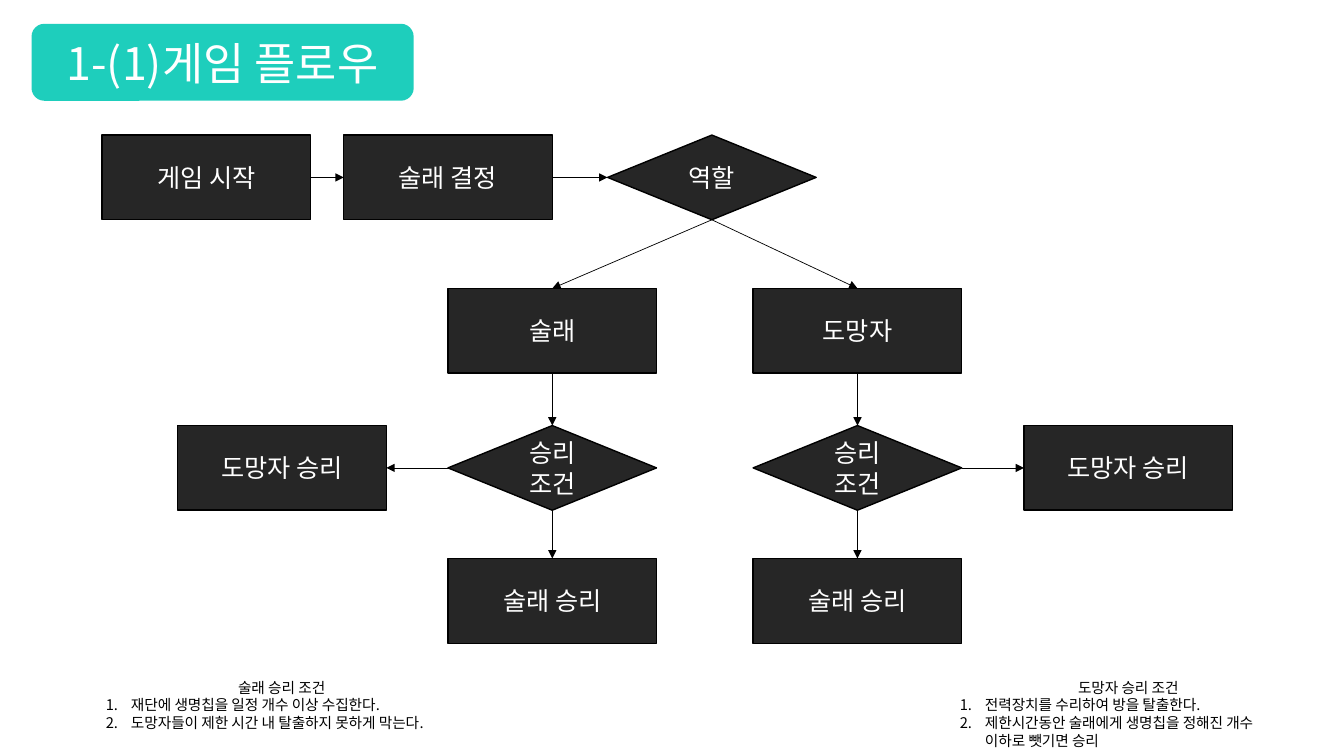
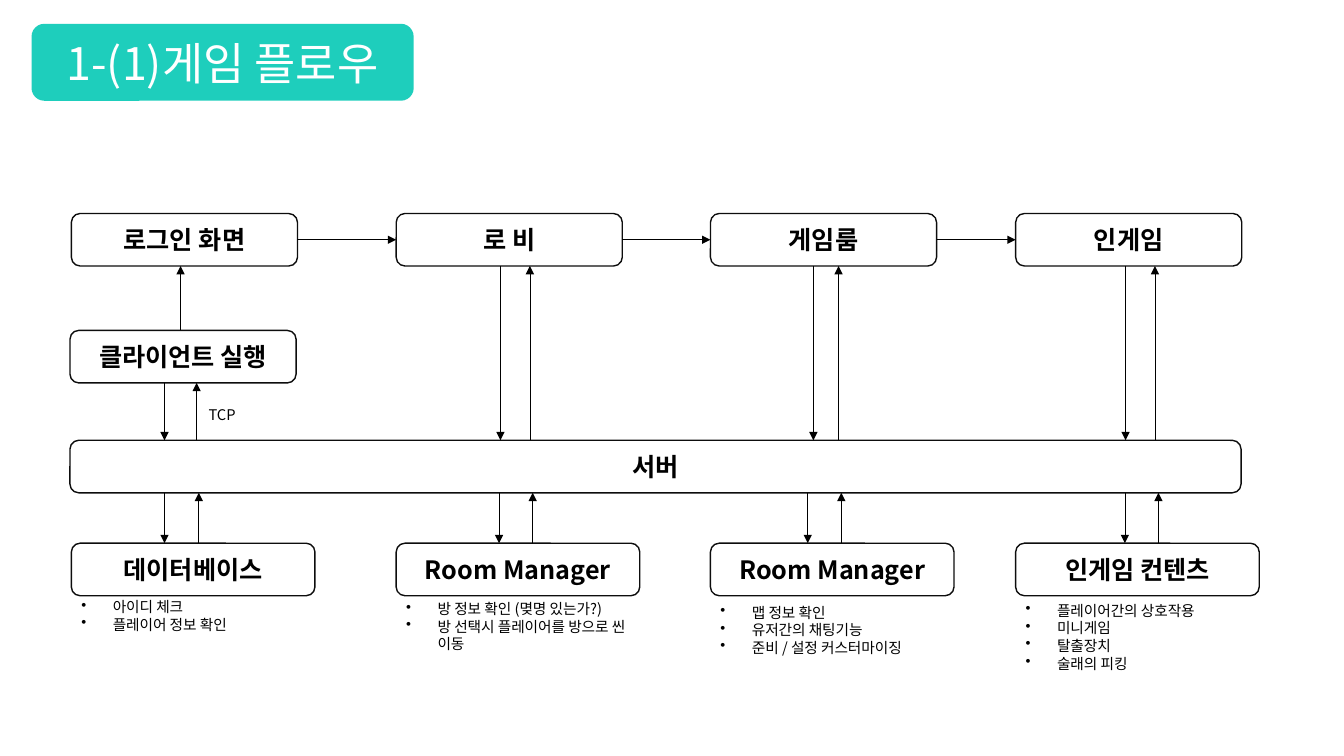
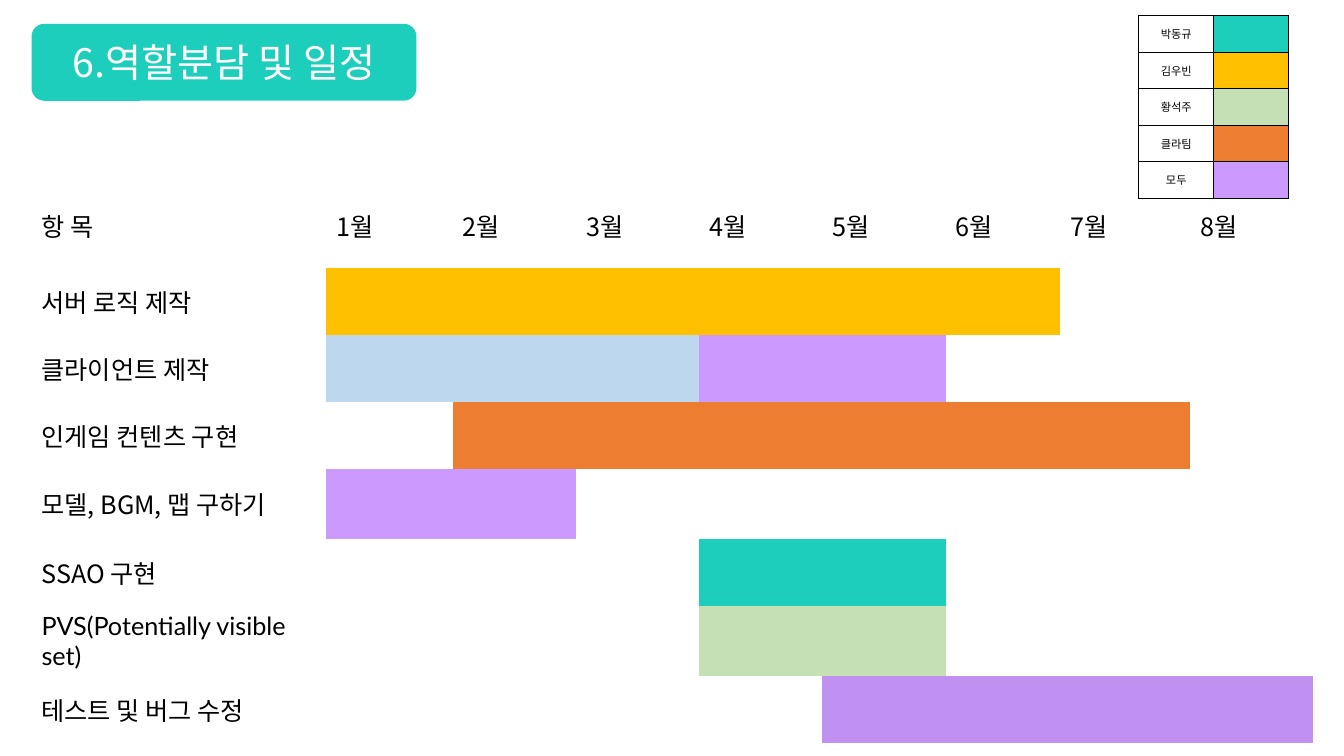
from dataclasses import dataclass

from lxml.etree import SubElement
from pptx import Presentation
from pptx.dml.color import RGBColor
from pptx.enum.shapes import MSO_CONNECTOR, MSO_SHAPE
from pptx.enum.text import MSO_ANCHOR, MSO_AUTO_SIZE, PP_ALIGN
from pptx.oxml.ns import qn
from pptx.util import Pt


@dataclass(frozen=True)
class Theme:
    font: str = "Noto Sans CJK KR"
    latin_font: str = "Lato"
    black: RGBColor = RGBColor(0x00, 0x00, 0x00)
    white: RGBColor = RGBColor(0xFF, 0xFF, 0xFF)
    charcoal: RGBColor = RGBColor(0x26, 0x26, 0x26)
    outline: RGBColor = RGBColor(0x0D, 0x0D, 0x0D)
    teal: RGBColor = RGBColor(0x1E, 0xCE, 0xBC)
    gold: RGBColor = RGBColor(0xFF, 0xC0, 0x00)
    green: RGBColor = RGBColor(0xC5, 0xE0, 0xB4)
    orange: RGBColor = RGBColor(0xED, 0x7D, 0x31)
    violet: RGBColor = RGBColor(0xCC, 0x99, 0xFF)
    purple: RGBColor = RGBColor(0xC1, 0x91, 0xF1)
    sky: RGBColor = RGBColor(0xBD, 0xD7, 0xEE)
    body: float = 18
    note: float = 10.5
    legend: float = 8
    leading: float = 1.2


theme = Theme()


def write(frame, lines, size, color=theme.black, align=PP_ALIGN.LEFT, bold=False,
          bullet=None, indent=0, tight=False, font=theme.font):
    """Fill a text frame; bullet is a (tag, attributes) pair for every line."""
    frame.word_wrap = True
    for index, line in enumerate(lines):
        para = frame.paragraphs[0] if index == 0 else frame.add_paragraph()
        para.text = line
        para.alignment = align
        if tight:
            para.line_spacing = Pt(size * theme.leading)
        properties = para._p.get_or_add_pPr()
        if bullet:
            properties.set("marL", str(Pt(indent)))
            properties.set("indent", str(-Pt(indent)))
            tag, attributes = bullet
            SubElement(properties, qn(tag), attributes)
        para.font.size = Pt(size)
        para.font.bold = bold
        para.font.color.rgb = color
        para.font.name = font
        SubElement(properties.find(qn("a:defRPr")), qn("a:ea"), typeface=font)


def arrow(page, x1, y1, x2, y2):
    line = page.shapes.add_connector(MSO_CONNECTOR.STRAIGHT, Pt(x1), Pt(y1), Pt(x2), Pt(y2))
    line.line.width = Pt(0.5)
    line.line.color.rgb = theme.black
    properties = line.element.spPr
    SubElement(properties.find(qn("a:ln")), qn("a:tailEnd"), type="triangle")
    SubElement(properties, qn("a:effectLst"))
    return line


deck = Presentation()
deck.slide_width, deck.slide_height = Pt(960), Pt(540)

# Slides with their title bands
pages = []
for heading, size, width in [
    ("1-(1)게임 플로우", 32, 273),
    ("1-(1)게임 플로우", 32, 273),
    ("6.역할분담 및 일정", 28, 275),
]:
    page = deck.slides.add_slide(deck.slide_layouts[5])
    band = page.shapes.add_shape(MSO_SHAPE.ROUNDED_RECTANGLE, Pt(22.5), Pt(17), Pt(width), Pt(55))
    band.shadow.inherit = False
    band.fill.solid()
    band.fill.fore_color.rgb = theme.teal
    band.line.fill.background()
    title = page.shapes.title
    title.left, title.top, title.width, title.height = band.left, band.top, band.width, band.height
    title.text_frame.auto_size = MSO_AUTO_SIZE.NONE
    title.text_frame.vertical_anchor = MSO_ANCHOR.MIDDLE
    write(title.text_frame, [heading], size, theme.white, PP_ALIGN.CENTER)
    band.element.addnext(title.element)
    pages.append(page)
rules_page, server_page, schedule_page = pages

# Slide 1: game flow chart
RECT, DIAMOND = MSO_SHAPE.RECTANGLE, MSO_SHAPE.DIAMOND
TOP, LEFT, BOTTOM, RIGHT = range(4)
start_row, role_row, check_row, win_row = 96.5, 206, 304, 399
tagger_x, runner_x = 320, 538
steps = {}
for name, text, kind, x, y in [
    ("start", "게임 시작", RECT, 73, start_row),
    ("pick", "술래 결정", RECT, 245.5, start_row),
    ("role", "역할", DIAMOND, 434, start_row),
    ("tagger", "술래", RECT, tagger_x, role_row),
    ("runner", "도망자", RECT, runner_x, role_row),
    ("tagger check", "승리 조건", DIAMOND, tagger_x, check_row),
    ("runner check", "승리 조건", DIAMOND, runner_x, check_row),
    ("left escape", "도망자 승리", RECT, 127, check_row),
    ("right escape", "도망자 승리", RECT, 731.5, check_row),
    ("left catch", "술래 승리", RECT, tagger_x, win_row),
    ("right catch", "술래 승리", RECT, runner_x, win_row),
]:
    box = rules_page.shapes.add_shape(kind, Pt(x), Pt(y), Pt(149), Pt(60.5))
    box.shadow.inherit = False
    box.fill.solid()
    box.fill.fore_color.rgb = theme.charcoal
    box.line.color.rgb = theme.black
    box.line.width = Pt(1)
    write(box.text_frame, [text], theme.body, theme.white, PP_ALIGN.CENTER, tight=kind == DIAMOND)
    steps[name] = box

for origin, exit_side, target, entry_side in [
    ("start", RIGHT, "pick", LEFT),
    ("pick", RIGHT, "role", LEFT),
    ("role", BOTTOM, "tagger", TOP),
    ("role", BOTTOM, "runner", TOP),
    ("tagger", BOTTOM, "tagger check", TOP),
    ("runner", BOTTOM, "runner check", TOP),
    ("tagger check", LEFT, "left escape", RIGHT),
    ("runner check", RIGHT, "right escape", LEFT),
    ("tagger check", BOTTOM, "left catch", TOP),
    ("runner check", BOTTOM, "right catch", TOP),
]:
    link = arrow(rules_page, 0, 0, 0, 0)
    link.begin_connect(steps[origin], exit_side)
    link.end_connect(steps[target], entry_side)

for x, width, heading, rules in [
    (68.5, 265.5, "술래 승리 조건",
     ["재단에 생명칩을 일정 개수 이상 수집한다.",
      "도망자들이 제한 시간 내 탈출하지 못하게 막는다."]),
    (678.5, 255, "도망자 승리 조건",
     ["전력장치를 수리하여 방을 탈출한다.",
      "제한시간동안 술래에게 생명칩을 정해진 개수 이하로 뺏기면 승리"]),
]:
    note = rules_page.shapes.add_textbox(Pt(x), Pt(481), Pt(width), Pt(58))
    write(note.text_frame, [heading, *rules], theme.note, tight=True)
    note.text_frame.paragraphs[0].alignment = PP_ALIGN.CENTER
    for para in note.text_frame.paragraphs[1:]:
        properties = para._p.pPr
        properties.set("marL", str(Pt(18)))
        properties.set("indent", str(-Pt(18)))
        number = SubElement(properties, qn("a:buAutoNum"), type="arabicPeriod")
        properties.find(qn("a:defRPr")).addprevious(number)

# Slide 2: client and server
screen_y, client_y, server_y, module_y = 152.5, 236, 314.5, 388
box_height, screen_width, module_width = 37.5, 161.5, 174
screen_end, client_end, server_end = (y + box_height for y in (screen_y, client_y, server_y))
columns = [51, 283, 507.5, 725.5]
screens = ["로그인 화면", "로 비", "게임룸", "인게임"]
modules = ["데이터베이스", "Room Manager", "Room Manager", "인게임 컨텐츠"]
boxes = [("클라이언트 실행", 50, client_y, screen_width), ("서버", 50, server_y, 844 - 7.5)]
boxes += [(text, x, screen_y, screen_width) for text, x in zip(screens, columns)]
boxes += [(text, x, module_y, module_width) for text, x in zip(modules, columns)]
for text, x, y, width in boxes:
    box = server_page.shapes.add_shape(
        MSO_SHAPE.ROUNDED_RECTANGLE, Pt(x), Pt(y), Pt(width), Pt(box_height))
    box.shadow.inherit = False
    box.fill.background()
    box.line.color.rgb = theme.outline
    box.line.width = Pt(1)
    write(box.text_frame, [text], theme.body, align=PP_ALIGN.CENTER, bold=True)

for x, next_x in zip(columns, columns[1:]):
    middle = screen_y + box_height / 2
    arrow(server_page, x + screen_width, middle, next_x, middle)
arrow(server_page, 129, client_y, 129, screen_end)
for down_x, up_x, upper, lower in [
    (117.5, 140.5, client_end, server_y),
    (357.5, 378.5, screen_end, server_y),
    (581, 599, screen_end, server_y),
    (804, 825, screen_end, server_y),
    (117.5, 142, server_end, module_y),
    (356.5, 380.5, server_end, module_y),
    (577, 601, server_end, module_y),
    (803.5, 827.5, server_end, module_y),
]:
    arrow(server_page, down_x, upper, down_x, lower)
    arrow(server_page, up_x, lower, up_x, upper)

label = server_page.shapes.add_textbox(Pt(142), Pt(286), Pt(39), Pt(20))
write(label.text_frame, ["TCP"], theme.note, tight=True)
for x, y, duties in zip(columns, [423.5, 425, 427.5, 426], [
    ["아이디 체크", "플레이어 정보 확인"],
    ["방 정보 확인 (몆명 있는가?)", "방 선택시 플레이어를 방으로 씬 이동"],
    ["맵 정보 확인", "유저간의 채팅기능", "준비 / 설정 커스터마이징"],
    ["플레이어간의 상호작용", "미니게임", "탈출장치", "술래의 피킹"],
]):
    note = server_page.shapes.add_textbox(Pt(x), Pt(y), Pt(module_width), Pt(58))
    write(note.text_frame, duties, theme.note, bullet=("a:buChar", {"char": "•"}),
          indent=22.5, tight=True)

# Slide 3: schedule and legend
tasks = [
    ("서버 로직 제작", 47.8, [(1, 6, theme.gold)]),
    ("클라이언트 제작", 47.8, [(1, 3, theme.sky), (4, 5, theme.violet)]),
    ("인게임 컨텐츠 구현", 47.8, [(2, 7, theme.orange)]),
    ("모델, BGM, 맵 구하기", 50, [(1, 2, theme.violet)]),
    ("SSAO 구현", 47.8, [(4, 5, theme.teal)]),
    ("PVS(Potentially visible set)", 50.7, [(4, 5, theme.green)]),
    ("테스트 및 버그 수정", 47.8, [(5, 8, theme.purple)]),
]
owners = [("박동규", theme.teal), ("김우빈", theme.gold), ("황석주", theme.green),
          ("클라팀", theme.orange), ("모두", theme.violet)]
schedule_widths = [210.5, 90.5, 88, 88, 88, 88, 82, 93, 87.5]
schedule_heights = [60.4] + [height for _, height, _ in tasks]
tables = []
for x, y, widths, heights in [
    (22.5, 131, schedule_widths, schedule_heights),
    (813.5, 11.2, [53.5] * 2, [26.1] * len(owners)),
]:
    holder = schedule_page.shapes.add_table(
        len(heights), len(widths), Pt(x), Pt(y), Pt(sum(widths)), Pt(sum(heights)))
    table = holder.table
    table.first_row = table.horz_banding = False
    plain_style = "{2D5ABB26-0587-4C30-8999-92F81FD0307C}"
    next(holder.element.iter(qn("a:tableStyleId"))).text = plain_style
    for column, width in zip(table.columns, widths):
        column.width = Pt(width)
    for row, height in zip(table.rows, heights):
        row.height = Pt(height)
    for cell in table.iter_cells():
        cell.vertical_anchor = MSO_ANCHOR.MIDDLE
        cell.fill.background()
    tables.append(table)
schedule, legend = tables

for index, text in enumerate(["항 목"] + [f"{month}월" for month in range(1, 9)]):
    write(schedule.cell(0, index).text_frame, [text], theme.body)
for row, (task, _, spans) in enumerate(tasks, 1):
    font = theme.latin_font if task.isascii() else theme.font
    write(schedule.cell(row, 0).text_frame, [task], theme.body, font=font)
    for first, last, color in spans:
        for month in range(first, last + 1):
            cell = schedule.cell(row, month)
            cell.fill.solid()
            cell.fill.fore_color.rgb = color

for row, (owner, color) in enumerate(owners):
    name_cell, swatch = legend.cell(row, 0), legend.cell(row, 1)
    write(name_cell.text_frame, [owner], theme.legend, align=PP_ALIGN.CENTER)
    for cell, margin in [(name_cell, 7.2), (swatch, 0)]:
        cell.margin_left = cell.margin_right = cell.margin_top = cell.margin_bottom = Pt(margin)
        properties = cell._tc.get_or_add_tcPr()
        for index, side in enumerate(["a:lnL", "a:lnR", "a:lnT", "a:lnB"]):
            border = SubElement(properties, qn(side), w=str(Pt(1)))
            paint = SubElement(border, qn("a:solidFill"))
            SubElement(paint, qn("a:srgbClr"), val=str(theme.black))
            properties.insert(index, border)
    swatch.fill.solid()
    swatch.fill.fore_color.rgb = color

deck.save("out.pptx")
